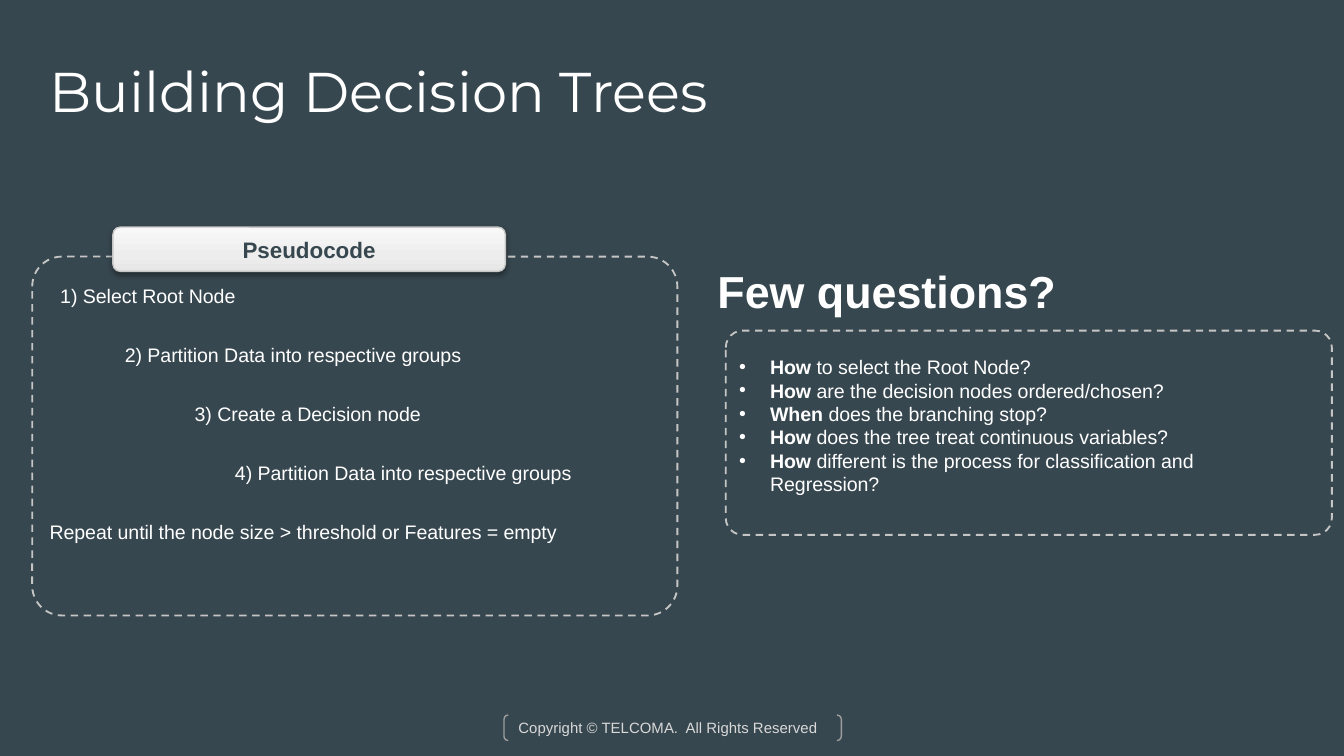
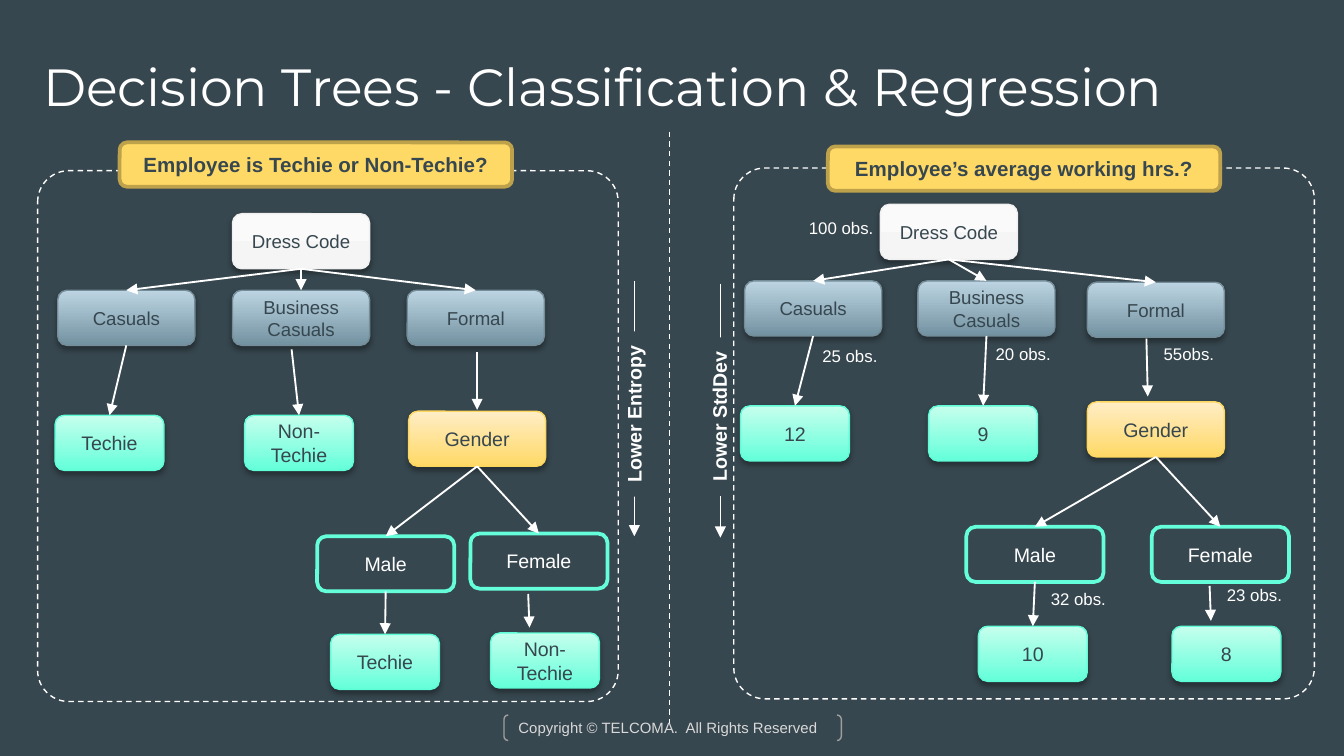
from dataclasses import dataclass, replace
from typing import Any, NamedTuple, Optional, Union

from lxml import etree
from pptx import Presentation
from pptx import util as u
from pptx.dml.color import RGBColor
from pptx.enum import dml, shapes, text
from pptx.oxml.ns import qn

WIDE, HIGH = u.Inches(10), u.Inches(5.625)
COLS, ROWS = 100, 56.25

SLATE = RGBColor(0x37, 0x47, 0x4F)
WHITE = RGBColor(0xFF, 0xFF, 0xFF)
PALE = RGBColor(0xD9, 0xD9, 0xD9)
GREY = RGBColor(0x9E, 0x9E, 0x9E)
ASH = RGBColor(0xC5, 0xC5, 0xC5)
SILVER = RGBColor(0xC6, 0xC6, 0xC6)
SMOKE = RGBColor(0xE6, 0xE6, 0xE6)
CLOUD = RGBColor(0xED, 0xED, 0xED)
CHALK = RGBColor(0xF8, 0xF8, 0xF8)
PEARL = RGBColor(0xF0, 0xF0, 0xF0)
MILK = RGBColor(0xF5, 0xF5, 0xF5)
SNOW = RGBColor(0xFA, 0xFA, 0xFA)
STEEL = RGBColor(0x73, 0x92, 0xA1)
SKY = RGBColor(0xBD, 0xD5, 0xE2)
IRON = RGBColor(0x74, 0x8D, 0x99)
MINT = RGBColor(0x64, 0xFF, 0xDA)
FOAM = RGBColor(0xC6, 0xFF, 0xED)
JADE = RGBColor(0x5E, 0xFD, 0xD7)
GOLD = RGBColor(0xFF, 0xD9, 0x66)
CREAM = RGBColor(0xFF, 0xED, 0xC6)
AMBER = RGBColor(0xFD, 0xD6, 0x60)
BRONZE = RGBColor(0xBD, 0xA1, 0x4B)
BLACK = RGBColor(0, 0, 0)


class Box(NamedTuple):
    x: float
    y: float
    w: float
    h: float


class Spot(NamedTuple):
    x: float
    y: float


class Note(NamedTuple):
    words: str
    box: Box


@dataclass(frozen=True)
class Type:
    size: float = 10.5
    ink: RGBColor = WHITE
    bold: bool = False
    face: str = "Arial"


@dataclass(frozen=True)
class Look:
    fill: Union[None, RGBColor, tuple] = None
    line: Optional[RGBColor] = None
    width: float = 0.75
    dash: bool = False
    shade: int = 0
    drop: float = 1.8
    round: Optional[float] = None
    type: Type = Type(ink=SLATE)
    wide: float = 10.2


@dataclass(frozen=True)
class Tree:
    frame: Box
    head: Note
    spots: tuple
    leaves: tuple
    joins: tuple
    notes: tuple
    axis: tuple
    label: Note


PLAIN, STRONG = Type(), Type(bold=True)
SMALL = Type(9)
FRAME = Look(line=ASH, width=1, dash=True, round=0.083)
FENCE = replace(FRAME, line=WHITE, width=0.75, round=0.059)
TAB = Look(((0, SMOKE), (35, CLOUD), (100, CHALK)), SILVER, shade=38, drop=1.6,
           type=Type(12, SLATE, True))
HEAD = Look(GOLD, BRONZE, 2, type=Type(11, SLATE, True))
ROOT = Look(((0, MILK), (100, SNOW)), PEARL, shade=35, type=Type(10, SLATE))
DRESS = replace(ROOT, fill=((0, STEEL), (100, SKY)), line=IRON)
LEAF = Look(((0, MINT), (100, FOAM)), JADE, shade=35, wide=8.1)
SPLIT = replace(LEAF, fill=((0, GOLD), (100, CREAM)), line=AMBER, wide=10.2)
SEX = Look(SLATE, MINT, 2, type=PLAIN)
AXIS = Look(SLATE, type=STRONG)
FOOT = Look(line=GREY, type=Type(8, PALE))

PLAN = (("Dress Code", ROOT), ("Casuals", DRESS), ("Business Casuals", DRESS),
        ("Formal", DRESS), ("Gender", SPLIT), ("Male", SEX), ("Female", SEX))
JOINS = ((0, 1), (0, 2), (0, 3), (1, 7), (4, 5), (4, 6), (5, 9))
NODE = 4.1

TREES = (
    Tree(Box(2.8, 12.7, 43.2, 39.5),
         Note("Employee is Techie or Non-Techie?", Box(8.9, 10.6, 29.2, 3.3)),
         (Spot(17.3, 15.9), Spot(4.3, 21.6), Spot(17.3, 21.6), Spot(30.3, 21.6),
          Spot(30.4, 30.6), Spot(23.6, 39.9), Spot(35, 39.7),
          Spot(4.1, 30.9), Spot(18.2, 30.9), Spot(24.6, 47.2), Spot(36.5, 47.1)),
         ("Techie", "Non-Techie", "Techie", "Non-Techie"),
         ((Spot(21.7, 26), 8), (Spot(35.5, 26.2), Spot(35.5, 30.5)),
          (Spot(39.3, 44.2), Spot(39.4, 46.7))),
         (),
         (Spot(47.2, 20.9), Spot(47.2, 39.9)),
         Note("Lower Entropy", Box(41, 29.4, 12.3, 2.8))),
    Tree(Box(54.6, 12.5, 43.2, 39.5),
         Note("Employee’s average working hrs.?", Box(61.6, 10.9, 29.2, 3.3)),
         (Spot(65.5, 15.2), Spot(55.4, 20.9), Spot(68.3, 20.9), Spot(80.9, 21),
          Spot(80.9, 29.9), Spot(71.9, 39.2), Spot(85.7, 39.2),
          Spot(55.1, 30.2), Spot(69.1, 30.2), Spot(72.8, 46.6), Spot(87.2, 46.6)),
         ("12", "9", "10", "8"),
         ((2, 8), (Spot(85.3, 25.2), Spot(85.4, 29.5)),
          (Spot(90, 43.6), Spot(90.1, 46.2))),
         (Note("100 obs.", Box(59.2, 15.7, 6.9, 2.5)),
          Note("25 obs.", Box(60.2, 25.2, 6.2, 2.5)),
          Note("20 obs.", Box(73.1, 25.1, 6.2, 2.5)),
          Note("55obs.", Box(85.6, 25.1, 5.8, 2.5)),
          Note("32 obs.", Box(77.2, 43.3, 6.2, 2.5)),
          Note("23 obs.", Box(90.3, 43, 6.2, 2.5))),
         (Spot(53.6, 21.1), Spot(53.6, 40)),
         Note("Lower StdDev", Box(47.6, 29.6, 11.8, 2.8))),
)

STEPS = (("1) Select Root Node", 3.5, 15.3),
         ("2) Partition Data into respective groups", 8.3, 27.5),
         ("3) Create a Decision node", 13.5, 19.2),
         ("4) Partition Data into respective groups", 16.5, 27.5),
         ("Repeat until the node size > threshold or Features = empty", 2.7, 40.5))
ASKS = (("How", " to select the Root Node?"),
        ("How", " are the decision nodes ordered/chosen?"),
        ("When", " does the branching stop?"),
        ("How", " does the tree treat continuous variables?"),
        ("How", " different is the process for classification and Regression?"))


def col(x: float) -> int:
    return round(WIDE * x / COLS)


def row(y: float) -> int:
    return round(HIGH * y / ROWS)


def place(box: Box) -> tuple:
    return col(box.x), row(box.y), col(box.w), row(box.h)


def adapt(thing: Any, form: dict) -> None:
    for name, value in form.items():
        setattr(thing, name, value)


def move(shape: Any, box: Box) -> None:
    adapt(shape, dict(zip(("left", "top", "width", "height"), place(box))))


def write(para: Any, words: str, kind: Type) -> None:
    run = para.add_run()
    run.text = words
    adapt(run.font, {"name": kind.face, "size": u.Pt(kind.size), "bold": kind.bold})
    run.font.color.rgb = kind.ink


def pad(frame: Any) -> None:
    adapt(frame, dict.fromkeys(
        ("margin_left", "margin_top", "margin_right", "margin_bottom"), col(1)))


def stroke(line: Any, ink: RGBColor, width: float, dash: bool) -> None:
    line.color.rgb = ink
    line.width = u.Pt(width)
    if dash:
        line.dash_style = dml.MSO_LINE.DASH


def tint(parent: Any, ink: RGBColor, **more: str) -> Any:
    return etree.SubElement(parent, qn("a:srgbClr"), val=str(ink), **more)


def blend(shape: Any, stops: tuple) -> None:
    shape.fill.gradient()
    shape.fill.gradient_angle = 90
    ramp = shape.element.spPr.find(".//" + qn("a:gsLst"))
    for old in list(ramp):
        ramp.remove(old)
    for point, ink in stops:
        tint(etree.SubElement(ramp, qn("a:gs"), pos=str(point * 1000)), ink)


def shadow(shape: Any, look: Look) -> None:
    shape.shadow.inherit = False
    if look.shade:
        cast = etree.SubElement(
            shape.element.spPr.find(qn("a:effectLst")), qn("a:outerShdw"),
            blurRad=str(u.Pt(3.1)), dist=str(u.Pt(look.drop)), dir="5400000",
            algn="ctr", rotWithShape="0")
        etree.SubElement(tint(cast, BLACK), qn("a:alpha"), val=str(look.shade * 1000))


def draw(slide: Any, box: Box, look: Look, words: str = "",
         form: int = shapes.MSO_SHAPE.ROUNDED_RECTANGLE,
         align: int = text.PP_ALIGN.CENTER) -> Any:
    shape = slide.shapes.add_shape(form, *place(box))
    if look.round is not None:
        shape.adjustments[0] = look.round
    if look.fill is None:
        shape.fill.background()
    elif isinstance(look.fill, RGBColor):
        shape.fill.solid()
        shape.fill.fore_color.rgb = look.fill
    else:
        blend(shape, look.fill)
    if look.line is None:
        shape.line.fill.background()
    else:
        stroke(shape.line, look.line, look.width, look.dash)
    shadow(shape, look)
    if words:
        para = shape.text_frame.paragraphs[0]
        para.alignment = align
        write(para, words, look.type)
    return shape


def label(slide: Any, note: Note, kind: Type) -> None:
    frame = slide.shapes.add_textbox(*place(note.box)).text_frame
    adapt(frame, {"word_wrap": False, "auto_size": text.MSO_AUTO_SIZE.SHAPE_TO_FIT_TEXT})
    write(frame.paragraphs[0], note.words, kind)


def link(slide: Any, start: Spot, end: Spot, width: float = 1,
         dash: bool = False, arrow: bool = True) -> Any:
    wire = slide.shapes.add_connector(
        shapes.MSO_CONNECTOR.STRAIGHT, col(start.x), row(start.y), col(end.x), row(end.y))
    stroke(wire.line, WHITE, width, dash)
    plate = wire.element.spPr
    if arrow:
        etree.SubElement(plate.find(qn("a:ln")), qn("a:tailEnd"), type="triangle")
    etree.SubElement(plate, qn("a:effectLst"))
    return wire


def join(slide: Any, nodes: list, start: Union[int, Spot], end: Union[int, Spot]) -> None:
    ends = [Spot(0, 0) if isinstance(tip, int) else tip for tip in (start, end)]
    wire = link(slide, *ends)
    if isinstance(start, int):
        wire.begin_connect(nodes[start], 2)
    if isinstance(end, int):
        wire.end_connect(nodes[end], 0)


def begin(deck: Any, layout: int, words: str, spot: Spot, size: float) -> Any:
    slide = deck.slides.add_slide(deck.slide_layouts[layout])
    title = slide.shapes.title
    move(title, Box(*spot, 86.2, 10.9))
    frame = title.text_frame
    pad(frame)
    adapt(frame, {"vertical_anchor": text.MSO_ANCHOR.TOP, "word_wrap": True,
                  "auto_size": text.MSO_AUTO_SIZE.NONE})
    frame.paragraphs[0].alignment = text.PP_ALIGN.LEFT
    write(frame.paragraphs[0], words, Type(size, face="Montserrat"))
    return slide


def brand(deck: Any, slide: Any) -> None:
    master = deck.slide_master
    master.background.fill.solid()
    master.background.fill.fore_color.rgb = SLATE
    foot = draw(slide, Box(37.5, 53.2, 25.1, 1.9), FOOT,
                "Copyright © TELCOMA.  All Rights Reserved",
                shapes.MSO_SHAPE.DOUBLE_BRACKET, text.PP_ALIGN.LEFT)
    pad(foot.text_frame)
    master.shapes.element.append(foot.element)


def build(deck: Any) -> None:
    slide = begin(deck, 1, "Building Decision Trees", Spot(2.7, 3.2), 30)
    brand(deck, slide)
    for rank, (words, left, wide) in enumerate(STEPS):
        label(slide, Note(words, Box(left, 20.6 + 4.4 * rank, wide, 2.8)), PLAIN)
    body = slide.placeholders[1]
    move(body, Box(54, 20.5, 42.6, 16.9))
    frame = body.text_frame
    adapt(frame, {"vertical_anchor": text.MSO_ANCHOR.BOTTOM, "word_wrap": True,
                  "auto_size": text.MSO_AUTO_SIZE.NONE})
    for rank, (lead, rest) in enumerate(ASKS):
        para = frame.add_paragraph() if rank else frame.paragraphs[0]
        rule = para._p.get_or_add_pPr()
        rule.set("marL", str(col(2.3)))
        rule.set("indent", str(-col(2.3)))
        etree.SubElement(rule, qn("a:buChar"), char="•")
        adapt(para, {"space_before": u.Pt(0), "line_spacing": 1.0})
        write(para, lead, STRONG)
        write(para, rest, PLAIN)
    draw(slide, Box(2.4, 19.1, 48, 26.7), FRAME)
    draw(slide, Box(54, 24.6, 45.1, 15.2), FRAME)
    label(slide, Note("Few questions?", Box(52.4, 19.1, 27.4, 5)), Type(24, bold=True))
    draw(slide, Box(8.4, 16.9, 29.2, 3.3), TAB, "Pseudocode")


def grow(slide: Any, tree: Tree) -> None:
    link(slide, *tree.axis, width=0.75)
    sign = draw(slide, tree.label.box, AXIS, tree.label.words, shapes.MSO_SHAPE.RECTANGLE)
    sign.rotation = 270
    sign.text_frame.word_wrap = False
    plan = PLAN + tuple((leaf, LEAF) for leaf in tree.leaves)
    nodes = [draw(slide, Box(*spot, look.wide, NODE), look, words)
             for spot, (words, look) in zip(tree.spots, plan)]
    for start, end in JOINS + tree.joins:
        join(slide, nodes, start, end)
    draw(slide, tree.frame, FENCE)
    draw(slide, tree.head.box, HEAD, tree.head.words)
    for note in tree.notes:
        label(slide, note, SMALL)


def main() -> None:
    deck = Presentation()
    adapt(deck, {"slide_width": WIDE, "slide_height": HIGH})
    build(deck)
    slide = begin(deck, 5, "Decision Trees - Classification & Regression", Spot(2.2, 3), 28)
    for tree in TREES:
        grow(slide, tree)
    link(slide, Spot(49.8, 9.8), Spot(49.8, 53.8), 0.75, dash=True, arrow=False)
    deck.save("out.pptx")


if __name__ == "__main__":
    main()
